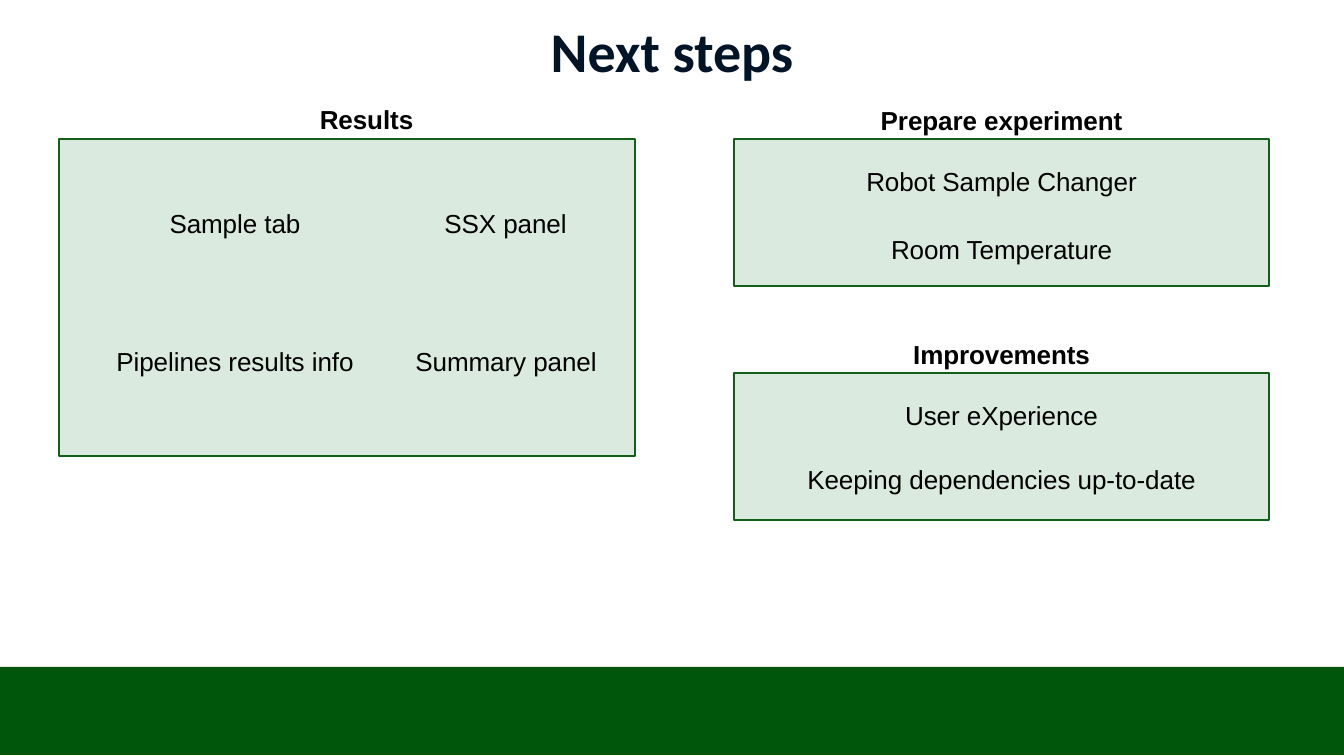
from dataclasses import dataclass

import pptx
import pptx.dml.color
import pptx.enum.shapes
import pptx.enum.text
import pptx.oxml
import pptx.oxml.ns
import pptx.util

RGBColor = pptx.dml.color.RGBColor
Anchor = pptx.enum.text.MSO_ANCHOR

PX = 914400 / 100.8
SLIDE_W, SLIDE_H = 1344, 756
RIGHT_X, RIGHT_W, RIGHT_H = 734, 535, 147
ITEM_H = 59
LABEL_H = 42

FOOTER_GREEN = RGBColor(0x00, 0x57, 0x0C)
PANEL_GREEN = RGBColor(0x12, 0x76, 0x22)
BORDER_GREEN = RGBColor(0x12, 0x60, 0x18)
NAVY = RGBColor(0x00, 0x14, 0x27)
BLACK = RGBColor(0x00, 0x00, 0x00)


@dataclass(frozen=True)
class Box:
    x: int
    y: int
    w: int
    h: int

    def emu(self) -> list[int]:
        return [round(v * PX) for v in (self.x, self.y, self.w, self.h)]


@dataclass(frozen=True)
class Label:
    text: str
    box: Box
    bold: bool = False
    anchor: Anchor = Anchor.TOP


@dataclass(frozen=True)
class Group:
    heading: str
    top: int
    items: dict[str, int]


GROUPS = [
    Group("Prepare experiment", 139, {"Robot Sample Changer": 20, "Room Temperature": 88}),
    Group("Improvements", 373, {"User eXperience": 20, "Keeping dependencies up-to-date": 84}),
]

RESULTS_PANEL = Box(59, 139, 576, 317)
RESULTS = [
    Label("Results", Box(99, 120, 535, 38), True, Anchor.BOTTOM),
    Label("Sample tab", Box(116, 199, 238, ITEM_H)),
    Label("Pipelines results info", Box(103, 337, 264, ITEM_H)),
    Label("SSX panel", Box(412, 199, 187, ITEM_H)),
    Label("Summary panel", Box(397, 337, 218, ITEM_H)),
]


def add_rect(s: pptx.slide.Slide, box: Box, color: RGBColor):
    sp = s.shapes.add_shape(pptx.enum.shapes.MSO_SHAPE.RECTANGLE, *box.emu())
    sp.shadow.inherit = False
    sp.fill.solid()
    sp.fill.fore_color.rgb = color
    sp.line.fill.background()
    return sp


def add_panel(s: pptx.slide.Slide, box: Box) -> None:
    sp = add_rect(s, box, PANEL_GREEN)
    sp.line.color.rgb = BORDER_GREEN
    sp.line.width = pptx.util.Pt(1.5)
    fill = sp._element.spPr.find(pptx.oxml.ns.qn("a:solidFill"))
    alpha = pptx.oxml.parse_xml(f'<a:alpha {pptx.oxml.ns.nsdecls("a")} val="15000"/>')
    fill[0].append(alpha)


def add_text(s: pptx.slide.Slide, label: Label, font: str, size: int, color: RGBColor):
    tf = s.shapes.add_textbox(*label.box.emu()).text_frame
    tf.word_wrap = True
    tf.vertical_anchor = label.anchor
    p = tf.paragraphs[0]
    p.alignment = pptx.enum.text.PP_ALIGN.CENTER
    p.font.name = font
    p.font.size = pptx.util.Pt(size)
    p.font.bold = label.bold
    p.font.color.rgb = color
    r = p.add_run()
    r.text = label.text
    return tf


def add_label(s: pptx.slide.Slide, label: Label) -> None:
    tf = add_text(s, label, "Arial", 32, BLACK)
    r = tf.paragraphs[0].runs[0]
    r._r.get_or_add_rPr().set("baseline", "33000")


def add_title(s: pptx.slide.Slide, text: str) -> None:
    label = Label(text, Box(0, 0, SLIDE_W, 100), True, Anchor.MIDDLE)
    tf = add_text(s, label, "Calibri", 40, NAVY)
    tf.margin_left = tf.margin_right = tf.margin_top = tf.margin_bottom = 0


def add_group(s: pptx.slide.Slide, group: Group) -> None:
    add_panel(s, Box(RIGHT_X, group.top, RIGHT_W, RIGHT_H))
    heading_box = Box(RIGHT_X, group.top - LABEL_H - 1, RIGHT_W, LABEL_H)
    add_label(s, Label(group.heading, heading_box, True))
    for text, offset in group.items.items():
        box = Box(RIGHT_X, group.top + offset, RIGHT_W, ITEM_H)
        add_label(s, Label(text, box, anchor=Anchor.MIDDLE))


def main() -> None:
    prs = pptx.Presentation()
    prs.slide_width = round(SLIDE_W * PX)
    prs.slide_height = round(SLIDE_H * PX)
    s = prs.slides.add_slide(prs.slide_layouts[6])
    add_rect(s, Box(0, 667, SLIDE_W, 88), FOOTER_GREEN)
    add_title(s, "Next steps")
    add_panel(s, RESULTS_PANEL)
    for label in RESULTS:
        add_label(s, label)
    for group in GROUPS:
        add_group(s, group)
    prs.save("out.pptx")


if __name__ == "__main__":
    main()
